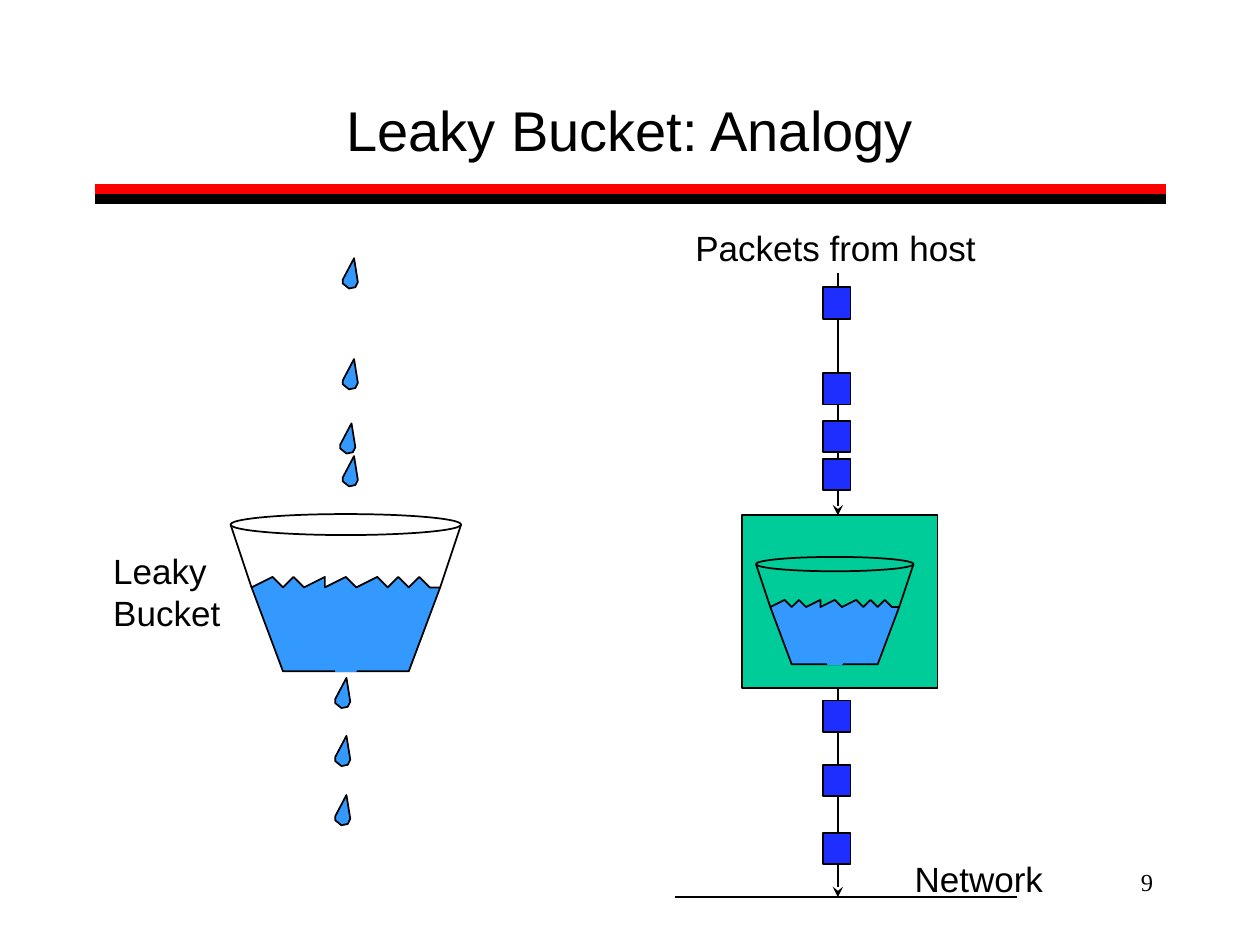
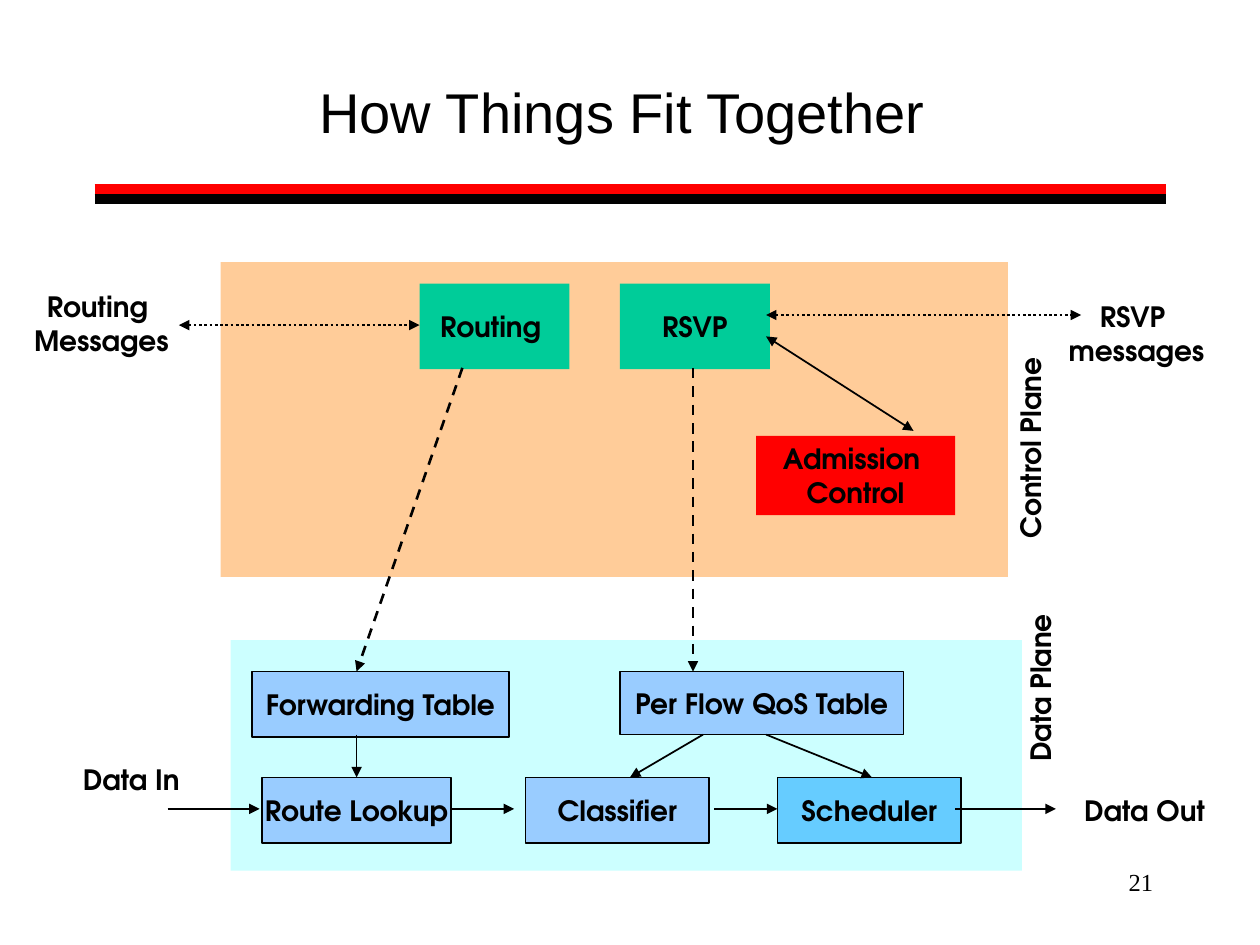
from typing import NamedTuple, Optional

from lxml import etree
from pptx import Presentation
from pptx.dml.color import RGBColor
from pptx.enum.dml import MSO_LINE
from pptx.enum.shapes import MSO_CONNECTOR, MSO_SHAPE
from pptx.enum.text import MSO_ANCHOR, MSO_AUTO_SIZE, PP_ALIGN
from pptx.oxml.ns import qn
from pptx.util import Inches, Pt

STRAIGHT = MSO_CONNECTOR.STRAIGHT
RECT, OVAL = MSO_SHAPE.RECTANGLE, MSO_SHAPE.OVAL
LEFT, CENTER, RIGHT = PP_ALIGN.LEFT, PP_ALIGN.CENTER, PP_ALIGN.RIGHT
TOP, MIDDLE, BOTTOM = MSO_ANCHOR.TOP, MSO_ANCHOR.MIDDLE, MSO_ANCHOR.BOTTOM
DASH, DOT = MSO_LINE.DASH, MSO_LINE.ROUND_DOT
FIT_SHAPE = MSO_AUTO_SIZE.SHAPE_TO_FIT_TEXT

COLORS = {
    "black": "000000",
    "red": "FF0000",
    "water": "3399FF",
    "packet": "1E2EFF",
    "green": "00CC99",
    "control": "FFCC99",
    "data": "CCFFFF",
    "table": "99CCFF",
    "scheduler": "66CCFF",
}
SANS, SERIF, DIAGRAM = "Arial", "Times New Roman", "TeX Gyre Adventor"


class Area(NamedTuple):
    left: float
    top: float
    width: float
    height: float


class Block(NamedTuple):
    text: str
    area: Area
    fill: str
    border: Optional[str] = None


class Label(NamedTuple):
    text: str
    area: Area
    align: PP_ALIGN = LEFT
    rotation: int = 0
    wrap: bool = False


class Arrow(NamedTuple):
    start: tuple
    end: tuple
    width: float = 1
    dash: Optional[MSO_LINE] = None
    head: Optional[str] = None
    tail: Optional[str] = "triangle"


def rgb(name: str) -> RGBColor:
    return RGBColor.from_string(COLORS[name])


def write(shape, text: str, *, size=16, font=DIAGRAM, bold=False, align=LEFT,
          anchor=TOP, wrap=False, fit=False) -> None:
    """Put text into a shape, one paragraph per line."""
    frame = shape.text_frame
    frame.word_wrap = wrap
    frame.vertical_anchor = anchor
    if fit:
        frame.auto_size = FIT_SHAPE
    for index, line in enumerate(text.split("\n")):
        paragraph = frame.add_paragraph() if index else frame.paragraphs[0]
        paragraph.alignment = align
        run = paragraph.add_run()
        run.text = line
        run.font.size = Pt(size)
        run.font.name = font
        run.font.bold = bold
        run.font.color.rgb = rgb("black")


def add_label(slide, text: str, area: Area, rotation=0, **text_format) -> None:
    box = slide.shapes.add_textbox(*map(Inches, area))
    box.rotation = rotation
    write(box, text, **text_format)


def paint(shape, fill: Optional[str], border: Optional[str]) -> None:
    shape.shadow.inherit = False
    if fill:
        shape.fill.solid()
        shape.fill.fore_color.rgb = rgb(fill)
    else:
        shape.fill.background()
    if border:
        shape.line.color.rgb = rgb(border)
        shape.line.width = Pt(1)
    else:
        shape.line.fill.background()


def add_figure(slide, kind, area: Area, fill=None, border="black"):
    shape = slide.shapes.add_shape(kind, *map(Inches, area))
    paint(shape, fill, border)
    return shape


def add_outline(slide, points: list, fill: str) -> None:
    """Draw a closed polygon through points given in inches."""
    corners = [(Inches(x), Inches(y)) for x, y in points]
    builder = slide.shapes.build_freeform(*corners[0], scale=1.0)
    builder.add_line_segments(corners[1:], close=True)
    paint(builder.convert_to_shape(), fill, "black")


def add_line(slide, arrow: Arrow, color="black") -> None:
    line = slide.shapes.add_connector(
        STRAIGHT, *map(Inches, arrow.start + arrow.end))
    line.line.color.rgb = rgb(color)
    line.line.width = Pt(arrow.width)
    if arrow.dash:
        line.line.dash_style = arrow.dash
    properties = line.element.spPr
    outline = properties.find(qn("a:ln"))
    for tag, kind in (("a:headEnd", arrow.head), ("a:tailEnd", arrow.tail)):
        if kind:
            etree.SubElement(outline, qn(tag), type=kind)
    etree.SubElement(properties, qn("a:effectLst"))


def add_base_slide(prs, title: str, number: int, title_anchor: MSO_ANCHOR):
    """Add a slide with the two-colour rule, its title and its number."""
    slide = prs.slides.add_slide(prs.slide_layouts[6])
    for y, color in ((1.5, "red"), (1.58, "black")):
        add_line(slide, Arrow((0.75, y), (9.25, y), 6, tail=None), color)
    add_label(slide, title, Area(0.75, 0.42, 8.5, 0.92), size=32, font=SANS,
              align=CENTER, anchor=title_anchor, wrap=True)
    add_label(slide, str(number), Area(7.17, 6.83, 2.08, 0.5), size=14,
              font=SERIF, align=RIGHT, wrap=True)
    return slide


def add_drop(slide, left: float, top: float) -> None:
    outline = [(0.09, 0), (0, 0.17), (0, 0.2), (0.05, 0.24), (0.1, 0.23),
               (0.12, 0.19)]
    add_outline(slide, [(left + x, top + y) for x, y in outline], "water")


def add_bucket(slide, left: float, top: float, width: float) -> None:
    """Draw a leaky bucket on a grid 22 units wide."""
    unit = width / 22
    trough, crest, base = 7, 6, 15

    def at(x: float, y: float) -> tuple:
        return left + x * unit, top + y * unit

    wave_xs = [2, 4, 5, 6, 7, 9, 9, 11, 12, 14, 15, 16, 17, 18, 19]
    surface = [at(x, crest if i % 2 else trough)
               for i, x in enumerate(wave_xs)]
    add_outline(slide, [at(5, base), *surface, at(20, trough), at(17, base)],
                "water")
    for water_x, rim_x in ((20, 22), (2, 0)):
        add_line(slide, Arrow(at(water_x, trough), at(rim_x, 1), tail=None))
    add_figure(slide, OVAL, Area(left, top, width, 2 * unit))
    add_figure(slide, RECT, Area(*at(10, 14), 2 * unit, unit), border="water")


def build_analogy(prs) -> None:
    slide = add_base_slide(prs, "Leaky Bucket: Analogy", 9, BOTTOM)

    falling = [(2.72, 2.05), (2.72, 2.85), (2.7, 3.36), (2.72, 3.62)]
    leaking = [(2.66, 5.38), (2.66, 5.84), (2.66, 6.31)]
    for left, top in falling + leaking:
        add_drop(slide, left, top)
    add_bucket(slide, 1.83, 4.08, 1.83)

    for top, bottom in ((5.33, 7.12), (2.17, 4.09)):
        add_line(slide, Arrow((6.65, top), (6.65, bottom), tail="stealth"))
    add_figure(slide, RECT, Area(5.89, 4.09, 1.55, 1.37), "green")
    for packet_top in (2.28, 2.96, 3.34, 3.64, 5.56, 6.07, 6.61):
        add_figure(slide, RECT, Area(6.53, packet_top, 0.22, 0.25), "packet")
    add_line(slide, Arrow((5.36, 7.12), (8.07, 7.12), tail=None))
    add_bucket(slide, 6, 4.42, 1.25)

    for label in (
        Label("Leaky\nBucket", Area(0.8, 4.31, 1.05, 0.77)),
        Label("Network", Area(7.16, 6.76, 1.22, 0.43)),
        Label("Packets from host", Area(5.42, 1.75, 2.43, 0.44)),
    ):
        add_label(slide, label.text, label.area, size=20, font=SANS, fit=True)


PLANES = [
    (Area(1.75, 2.08, 6.25, 2.5), "control"),
    (Area(1.83, 5.08, 6.28, 1.83), "data"),
]
COMPONENTS = [
    Block("Routing ", Area(3.33, 2.25, 1.19, 0.68), "green"),
    Block("RSVP", Area(4.92, 2.25, 1.19, 0.68), "green"),
    Block("Admission \nControl", Area(6, 3.46, 1.58, 0.63), "red"),
    Block("Forwarding Table", Area(2, 5.33, 2.04, 0.52), "table", "black"),
    Block("Per Flow QoS Table", Area(4.92, 5.33, 2.25, 0.5), "table", "black"),
    Block("Route Lookup", Area(2.08, 6.17, 1.5, 0.52), "table", "black"),
    Block("Classifier", Area(4.17, 6.17, 1.46, 0.52), "table", "black"),
    Block("Scheduler", Area(6.17, 6.17, 1.46, 0.52), "scheduler", "black"),
]
PLANE_LABELS = [
    Label("Data In", Area(0.56, 6, 1.01, 0.37)),
    Label("Data Out", Area(8.42, 6.25, 1.33, 0.37), CENTER, wrap=True),
    Label(" Control Plane", Area(7.3, 3.37, 1.76, 0.37), rotation=270),
    Label("Data Plane", Area(7.56, 5.26, 1.4, 0.37), rotation=270),
    Label("Routing \nMessages", Area(0.17, 2.25, 1.27, 0.64), CENTER),
    Label("RSVP \nmessages", Area(8.38, 2.33, 1.28, 0.64), CENTER),
]
DATA_PATH = [(1.33, 2.06), (3.58, 4.08), (5.67, 6.17), (7.58, 8.38)]
ARROWS = [Arrow((x1, 6.42), (x2, 6.42), 1.5) for x1, x2 in DATA_PATH] + [
    Arrow((1.42, 2.58), (3.33, 2.58), 1.5, DOT, "triangle"),
    Arrow((6.08, 2.5), (8.58, 2.5), 1.5, DOT, "triangle"),
    Arrow((3.67, 2.92), (2.83, 5.33), 1.5, DASH),
    Arrow((5.5, 2.92), (5.5, 5.33), 1.5, DASH),
    Arrow((6.08, 2.67), (7.25, 3.42), head="triangle"),
    Arrow((2.83, 5.83), (2.83, 6.17)),
    Arrow((5.58, 5.83), (5, 6.17)),
    Arrow((6.08, 5.83), (6.92, 6.17)),
]


def build_architecture(prs) -> None:
    slide = add_base_slide(prs, "How Things Fit Together ", 21, MIDDLE)
    for area, fill in PLANES:
        add_figure(slide, RECT, area, fill, border=None)
    for block in COMPONENTS:
        shape = add_figure(slide, RECT, block.area, block.fill, block.border)
        write(shape, block.text, bold=True, align=CENTER, anchor=MIDDLE)
    for label in PLANE_LABELS:
        add_label(slide, label.text, label.area, label.rotation, bold=True,
                  align=label.align, wrap=label.wrap, fit=True)
    for arrow in ARROWS:
        add_line(slide, arrow)


def main() -> None:
    prs = Presentation()
    prs.slide_width, prs.slide_height = Inches(10), Inches(7.5)
    build_analogy(prs)
    build_architecture(prs)
    prs.save("out.pptx")


if __name__ == "__main__":
    main()
